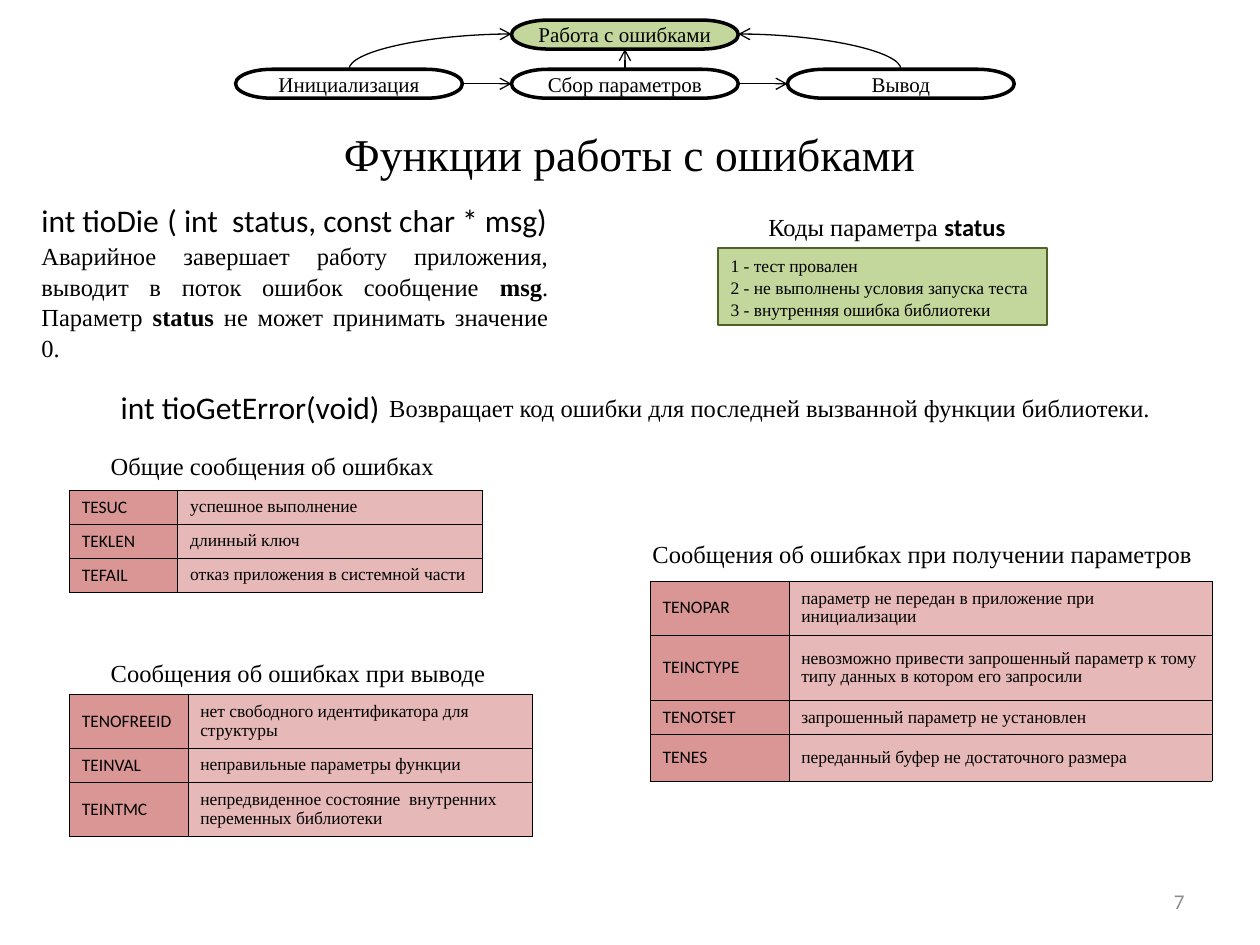
import pptx
import pptx.util
import pptx.dml.color
import pptx.enum.shapes
import pptx.enum.text
import pptx.oxml
import pptx.oxml.ns
from pptx.util import Inches

SERIF, SANS = "Times New Roman", "Calibri"
BLACK, WHITE, GREEN, OLIVE = "000000", "FFFFFF", "C3D69B", "4F6228"
ROSE, PINK, GRAY = "D99694", "E6B9B8", "8C8C8C"
ALIGN = pptx.enum.text.PP_ALIGN
MIDDLE = pptx.enum.text.MSO_ANCHOR.MIDDLE

# Content: flow diagram as name: (text, left, top, fill)
NODE_WIDTH, NODE_HEIGHT = 1.8, 0.23
NODES = {
    "init": ("Инициализация", 1.87, 0.55, None),
    "errors": ("Работа с ошибками", 4.06, 0.16, GREEN),
    "collect": ("Cбор параметров", 4.06, 0.55, WHITE),
    "output": ("Вывод", 6.25, 0.55, WHITE),
}
# Straight arrows: (from, site, to, site)
ARROWS = [("init", 3, "collect", 1), ("collect", 3, "output", 1),
          ("collect", 0, "errors", 2)]

# Text boxes: (left, top, width, height, wrap, size, font, alignment, lines);
# a line is a list of (text, bold, font) runs
TEXTS = [
    (0.86, 3.03, 2.27, 0.4, True, 18, SANS, ALIGN.LEFT,
     [[("int tioGetError(void)", False, SANS)]]),
    (0.23, 1.55, 4.38, 0.4, True, 18, SANS, ALIGN.LEFT,
     [[("int tioDie\t( int  status, const char * msg)", False, SANS)]]),
    (0.23, 1.85, 4.22, 1.04, True, 14, SERIF, ALIGN.JUSTIFY,
     [[("Аварийное завершает работу приложения, выводит в поток ошибок сообщение ", False, SERIF),
       ("msg", True, SERIF), (". Параметр ", False, SERIF), ("status ", True, SERIF),
       ("не может принимать значение 0.", False, SERIF)]]),
    (6, 1.62, 2.1, 0.34, False, 14, SERIF, ALIGN.LEFT,
     [[("Коды параметра ", False, SERIF), ("status", True, SANS)]]),
]
# Single-line captions: (left, top, width, text)
CAPTIONS = [
    (2.99, 3.06, 6.29, "Возвращает код ошибки для последней вызванной функции библиотеки."),
    (0.78, 3.52, 2.79, "Общие сообщения об ошибках"),
    (0.78, 5.16, 3.22, "Сообщения об ошибках при выводе"),
    (5.08, 4.22, 4.57, "Сообщения об ошибках при получении параметров"),
]
TEXTS += [(left, top, width, 0.34, False, 14, SERIF, ALIGN.LEFT, [[(text, False, SERIF)]])
          for left, top, width, text in CAPTIONS]

CODES = ["1 - тест провален",
         "2 - не выполнены условия запуска теста",
         "3 - внутренняя ошибка библиотеки"]

# Tables: (left, top, column widths, [(row height, code, meaning)])
TABLES = [
    (0.55, 3.89, (0.86, 2.42), [
        (0.27, "TESUC", "успешное выполнение"),
        (0.27, "TEKLEN", "длинный ключ"),
        (0.27, "TEFAIL", "отказ приложения в системной части")]),
    (5.16, 4.61, (1.1, 3.36), [
        (0.43, "TENOPAR", "параметр не передан в приложение при инициализации"),
        (0.52, "TEINCTYPE", "невозможно привести запрошенный параметр к тому типу данных "
                            "в котором его запросили"),
        (0.27, "TENOTSET", "запрошенный параметр не установлен"),
        (0.37, "TENES", "переданный буфер не достаточного размера")]),
    (0.55, 5.51, (0.94, 2.73), [
        (0.43, "TENOFREEID", "нет свободного идентификатора для структуры"),
        (0.27, "TEINVAL", "неправильные параметры функции"),
        (0.43, "TEINTMC", "непредвиденное состояние  внутренних переменных библиотеки")]),
]


def paint(color_format, color):
    color_format.rgb = pptx.dml.color.RGBColor.from_string(color)


def fill_with(fill, color):
    if color is None:
        fill.background()
    else:
        fill.solid()
        paint(fill.fore_color, color)


def style(paragraph, size, font=SERIF, color=BLACK, align=ALIGN.LEFT, spacing=None):
    paragraph.font.size = pptx.util.Pt(size)
    paragraph.font.name = font
    paint(paragraph.font.color, color)
    paragraph.alignment = align
    if spacing:
        paragraph.line_spacing = spacing


def add_text(left, top, width, height, wrap, size, font, align, lines, color=BLACK):
    box = slide.shapes.add_textbox(Inches(left), Inches(top), Inches(width), Inches(height))
    frame = box.text_frame
    frame.word_wrap = wrap
    for index, line in enumerate(lines):
        paragraph = frame.add_paragraph() if index else frame.paragraphs[0]
        style(paragraph, size, font, color, align, 1.05 if font == SERIF else None)
        for text, bold, run_font in line:
            run = paragraph.add_run()
            run.text = text
            run.font.bold = bold
            run.font.name = run_font
    return box


def add_box(kind, left, top, width, height, fill, line, line_width):
    shape = slide.shapes.add_shape(kind, Inches(left), Inches(top), Inches(width), Inches(height))
    shape.shadow.inherit = False
    fill_with(shape.fill, fill)
    paint(shape.line.color, line)
    shape.line.width = pptx.util.Pt(line_width)
    return shape


def add_arrow(kind, *ends):
    connector = slide.shapes.add_connector(kind, *map(Inches, ends))
    paint(connector.line.color, BLACK)
    connector.line.width = pptx.util.Pt(0.75)
    line = connector.line._get_or_add_ln()
    pptx.oxml.ns.qn("a:tailEnd")
    line.append(pptx.oxml.parse_xml(f'<a:tailEnd {NAMESPACE} type="arrow"/>'))
    connector._element.spPr.append(pptx.oxml.parse_xml(f"<a:effectLst {NAMESPACE}/>"))
    return connector


def add_bend(start_x, start_y, end_x, end_y):
    """Quarter curve that leaves upwards and arrives sideways."""
    side = 1 if end_x > start_x else -1
    center_x, center_y = (start_x + end_x) / 2, (start_y + end_y) / 2
    half_width, half_height = side * abs(end_y - start_y) / 2, abs(end_x - start_x) / 2
    connector = add_arrow(pptx.enum.shapes.MSO_CONNECTOR.CURVE,
                          center_x + half_width, center_y + half_height,
                          center_x - half_width, center_y - half_height)
    properties = connector._element.spPr
    properties.prstGeom.set("prst", "curvedConnector2")
    properties.xfrm.set("rot", str((90 if side > 0 else 270) * 60000))


def add_border(cell):
    properties = cell._tc.get_or_add_tcPr()
    for index, edge in enumerate(("lnL", "lnR", "lnT", "lnB")):
        properties.insert(index, pptx.oxml.parse_xml(
            f'<a:{edge} {NAMESPACE} w="3175"><a:solidFill><a:srgbClr val="{BLACK}"/>'
            f"</a:solidFill></a:{edge}>"))


NAMESPACE = pptx.oxml.ns.nsdecls("a")
presentation = pptx.Presentation()
presentation.slide_width, presentation.slide_height = Inches(10), Inches(7.5)
slide = presentation.slides.add_slide(presentation.slide_layouts[5])

# Title
title = slide.shapes.title
title.left, title.top, title.width, title.height = map(Inches, (0, 0.94, 10, 0.55))
title.text_frame.text = "Функции работы с ошибками"
title.text_frame.vertical_anchor = MIDDLE
style(title.text_frame.paragraphs[0], 26, align=ALIGN.CENTER)

# Function descriptions and captions
for text in TEXTS:
    add_text(*text)

# Status codes
codes = add_box(pptx.enum.shapes.MSO_SHAPE.RECTANGLE, 5.7, 1.97, 2.61, 0.61, GREEN, OLIVE, 1)
codes.text_frame.text = "\n".join(CODES)
codes.text_frame.word_wrap = False
for paragraph in codes.text_frame.paragraphs:
    style(paragraph, 10, spacing=1.05)

# Error message tables
for left, top, widths, rows in TABLES:
    height = sum(row[0] for row in rows)
    frame = slide.shapes.add_table(len(rows), 2, Inches(left), Inches(top),
                                   Inches(sum(widths)), Inches(height))
    table = frame.table
    for column, width in zip(table.columns, widths):
        column.width = Inches(width)
    for row, (row_height, *texts) in zip(table.rows, rows):
        row.height = Inches(row_height)
        for cell, text, font, color in zip(row.cells, texts, (SANS, SERIF), (ROSE, PINK)):
            cell.text = text
            cell.vertical_anchor = MIDDLE
            fill_with(cell.fill, color)
            style(cell.text_frame.paragraphs[0], 10, font, spacing=0.95)
            add_border(cell)

# Flow diagram
nodes = {}
for name, (text, left, top, fill) in NODES.items():
    node = add_box(pptx.enum.shapes.MSO_SHAPE.FLOWCHART_TERMINATOR, left, top,
                   NODE_WIDTH, NODE_HEIGHT, fill, BLACK, 2)
    node.text_frame.text = text
    node.text_frame.vertical_anchor = MIDDLE
    style(node.text_frame.paragraphs[0], 12, align=ALIGN.CENTER)
    nodes[name] = node
for start, start_site, end, end_site in ARROWS:
    arrow = add_arrow(pptx.enum.shapes.MSO_CONNECTOR.STRAIGHT, 0, 0, 1, 1)
    arrow.begin_connect(nodes[start], start_site)
    arrow.end_connect(nodes[end], end_site)
add_bend(2.77, 0.55, 4.06, 0.27)
add_bend(7.15, 0.55, 5.86, 0.27)

# Slide number
number = add_text(7.17, 6.95, 2.33, 0.4, True, 12, SANS, ALIGN.RIGHT, [[("7", False, SANS)]], GRAY)
number.text_frame.vertical_anchor = MIDDLE

presentation.save("out.pptx")
